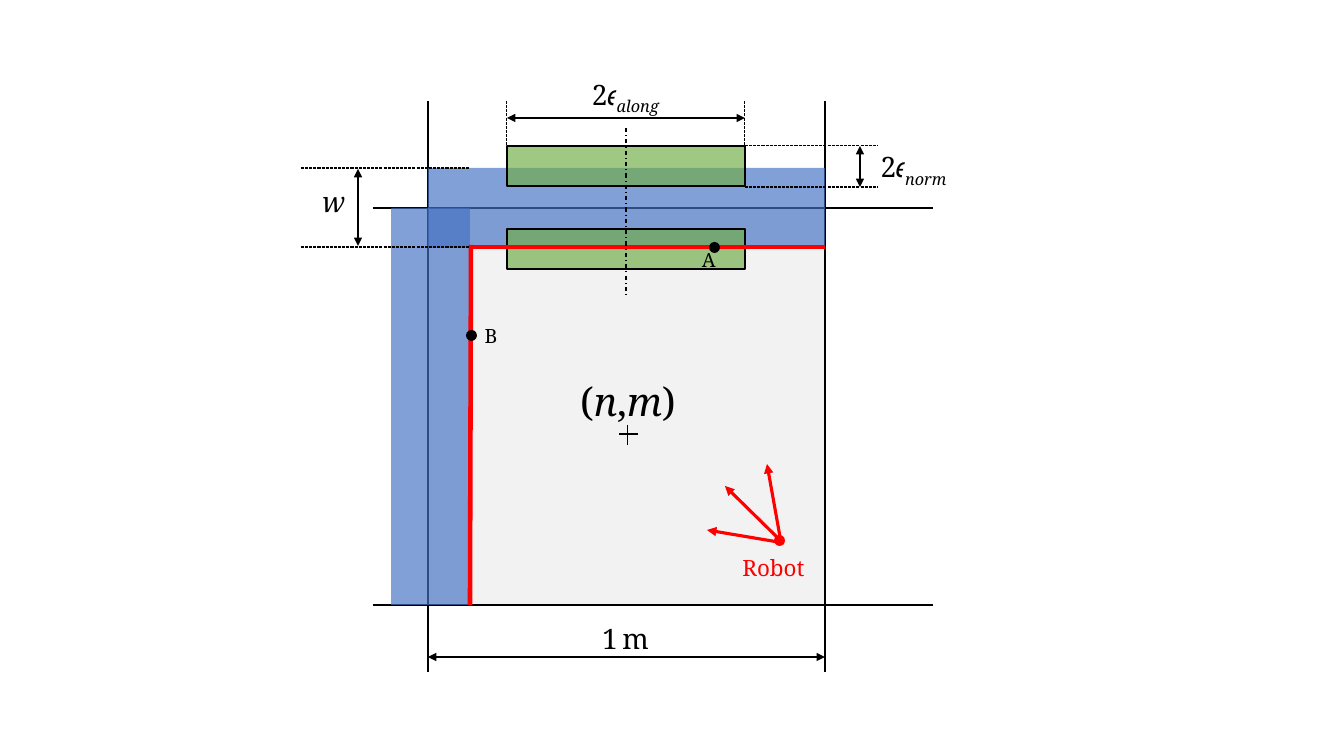
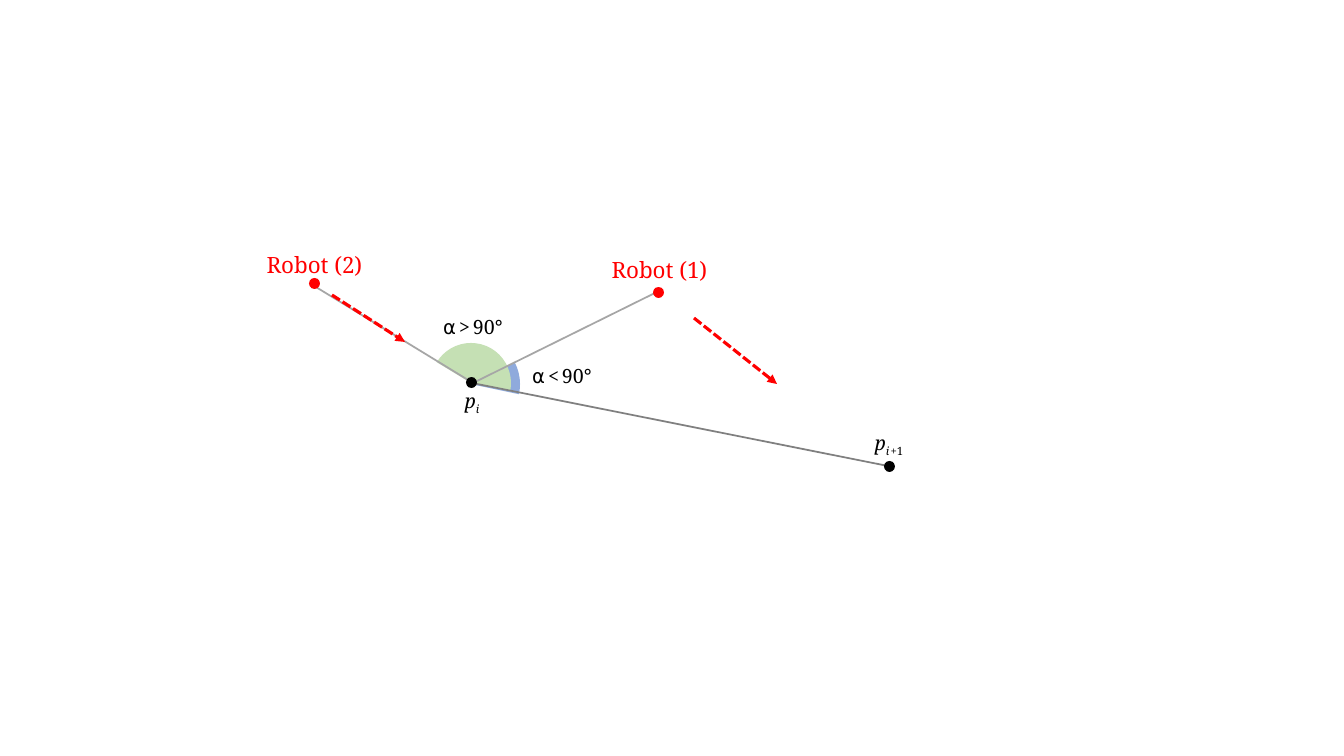
from lxml import etree
from pptx import Presentation
from pptx import util as u
from pptx.dml.color import RGBColor
from pptx.enum import dml, shapes, text
from pptx.oxml.ns import qn

PX = 914400 / 100.8
FONT = "Noto Serif"
COLORS = {
    "ink": "000000", "red": "FF0000", "cell": "BFBFBF", "wall": "4472C4",
    "tolerance": "70AD47", "acute": "8FAADC", "obtuse": "C5E0B4",
    "sight": "A6A6A6", "path": "808080",
}
RECT, OVAL, ARC = (shapes.MSO_SHAPE.RECTANGLE, shapes.MSO_SHAPE.OVAL, shapes.MSO_SHAPE.ARC)
DASH, DASH_DOT = dml.MSO_LINE.SQUARE_DOT, dml.MSO_LINE.DASH_DOT
DOT = 11


def area(slide, preset, box, color, opacity=100, outlined=False):
    shape = slide.shapes.add_shape(preset, *[u.Emu(round(v * PX)) for v in box])
    shape.shadow.inherit = False
    shape.fill.solid()
    shape.fill.fore_color.rgb = RGBColor.from_string(COLORS[color])
    if opacity < 100:
        tint = shape.fill._xPr.find(".//" + qn("a:srgbClr"))
        etree.SubElement(tint, qn("a:alpha"), val=str(opacity * 1000))
    if outlined:
        shape.line.color.rgb = RGBColor.from_string(COLORS["ink"])
        shape.line.width = u.Pt(1)
    else:
        shape.line.fill.background()
    return shape


def stroke(slide, ends, color, width, dash=None, arrows=()):
    line = slide.shapes.add_connector(
        shapes.MSO_CONNECTOR.STRAIGHT, *[u.Emu(round(v * PX)) for v in ends])
    line.line.color.rgb = RGBColor.from_string(COLORS[color])
    line.line.width = u.Pt(width)
    if dash:
        line.line.dash_style = dash
    for end in arrows:
        etree.SubElement(line.line._ln, qn("a:" + end), type="triangle")
    etree.SubElement(line._element.spPr, qn("a:effectLst"))


deck = Presentation()
deck.slide_width, deck.slide_height = u.Emu(round(1344 * PX)), u.Emu(round(756 * PX))
grid = deck.slides.add_slide(deck.slide_layouts[6])
angles = deck.slides.add_slide(deck.slide_layouts[6])

left, top, side = 428, 208, 397
right, bottom = left + side, top + side
area(grid, RECT, (left, top, side, side), "cell", 19)
for x in (left, right):
    stroke(grid, (x, 101, x, 672), "ink", 1)
for y in (top, bottom):
    stroke(grid, (373, y, 933, y), "ink", 1)

area(grid, RECT, (left, 168, side, 80), "wall", 67)
for y in (146, 229):
    area(grid, RECT, (507, y, 238, 40), "tolerance", 67, True)
area(grid, RECT, (391, top, 79, side), "wall", 67)
for edge in ((right, 247, 470, 247), (470, bottom, 471, 245)):
    stroke(grid, edge, "red", 3.25)

for guide in ((507, 101, 507, 146), (745, 101, 745, 146),
              (745, 146, 878, 146), (745, 187, 878, 187),
              (301, 168, 470, 168), (301, 247, 470, 247)):
    stroke(grid, guide, "ink", 0.75, DASH)
for dimension in ((507, 118, 745, 118), (860, 146, 860, 187),
                  (358, 169, 358, 246), (left, 657, right, 657)):
    stroke(grid, dimension, "ink", 1.75, arrows=("headEnd", "tailEnd"))
stroke(grid, (626, 128, 626, 296), "ink", 0.75, DASH_DOT)
for center_mark in ((628, 425, 628, 445), (638, 434, 619, 434)):
    stroke(grid, center_mark, "ink", 0.75)
for ray in ((781, 542, 767, 464), (781, 541, 725, 486), (784, 543, 707, 530)):
    stroke(grid, ray, "red", 2.25, arrows=("tailEnd",))

for box, color, start in (((421, 336, 99, 96), "acute", 200.36),
                          ((431, 343, 80, 80), "obtuse", 126.74)):
    sector = area(angles, ARC, box, color)
    sector.adjustments[0], sector.adjustments[1] = start, 7.14
for ends, color in (((473, 383, 311, 284), "sight"),
                    ((888, 466, 472, 383), "path"),
                    ((469, 385, 661, 290), "sight")):
    stroke(angles, ends, color, 1.25)
for heading in ((694, 318, 777, 384), (332, 295, 405, 342)):
    stroke(angles, heading, "red", 2.25, DASH, ("tailEnd",))

for slide, x, y, color in (
        (grid, 774, 535, "red"), (grid, 709, 242, "ink"), (grid, 466, 330, "ink"),
        (angles, 466, 377, "ink"), (angles, 884, 461, "ink"),
        (angles, 653, 287, "red"), (angles, 309, 278, "red")):
    area(slide, OVAL, (x, y, DOT, DOT), color)

labels = (
    (grid, (526, 372, 204, 57), "ink",
     (("(", 28, ""), ("n", 28, "i"), (",", 28, ""), ("m", 28, "i"), (")", 28, ""))),
    (grid, (548, 73, 155, 44), "ink", (("2𝜖", 20, ""), ("along", 20, "i sub"))),
    (grid, (867, 145, 93, 44), "ink", (("2𝜖", 20, ""), ("norm", 20, "i sub"))),
    (grid, (287, 180, 93, 44), "ink", (("w", 20, "i"),)),
    (grid, (548, 617, 155, 44), "ink", (("1", 20, ""), (" ", 12, ""), ("m", 20, ""))),
    (grid, (696, 549, 155, 37), "red", (("Robot", 16, ""),)),
    (grid, (471, 319, 40, 34), "ink", (("B", 14, ""),)),
    (grid, (692, 243, 21, 34), "ink", (("A", 14, ""),)),
    (angles, (582, 251, 155, 37), "red", (("Robot (1)", 16, ""),)),
    (angles, (237, 246, 155, 37), "red", (("Robot (2)", 16, ""),)),
    (angles, (452, 384, 40, 34), "ink", (("p", 14, "i"), ("i", 14, "i sub"))),
    (angles, (860, 426, 58, 34), "ink",
     (("p", 14, "i"), ("i", 14, "i sub"), (" ", 6, "i sub"), ("+1", 14, "sub"))),
    (angles, (521, 359, 82, 34), "ink",
     (("⍺", 14, "i"), (" ", 8, ""), ("<", 14, ""), (" ", 8, ""), ("90°", 14, ""))),
    (angles, (428, 310, 90, 34), "ink",
     (("⍺", 14, "i"), (" ", 8, "i"), (">", 14, ""), (" ", 8, ""), ("90°", 14, ""))),
)
for slide, box, color, runs in labels:
    frame = slide.shapes.add_textbox(*[u.Emu(round(v * PX)) for v in box]).text_frame
    frame.word_wrap = True
    frame.auto_size = text.MSO_AUTO_SIZE.SHAPE_TO_FIT_TEXT
    paragraph = frame.paragraphs[0]
    paragraph.alignment = text.PP_ALIGN.CENTER
    for words, size, style in runs:
        run = paragraph.add_run()
        run.text = words
        run.font.name = FONT
        run.font.size = u.Pt(size)
        run.font.italic = "i" in style.split()
        run.font.color.rgb = RGBColor.from_string(COLORS[color])
        if "sub" in style:
            run.font._element.set("baseline", "-25000")

deck.save("out.pptx")
